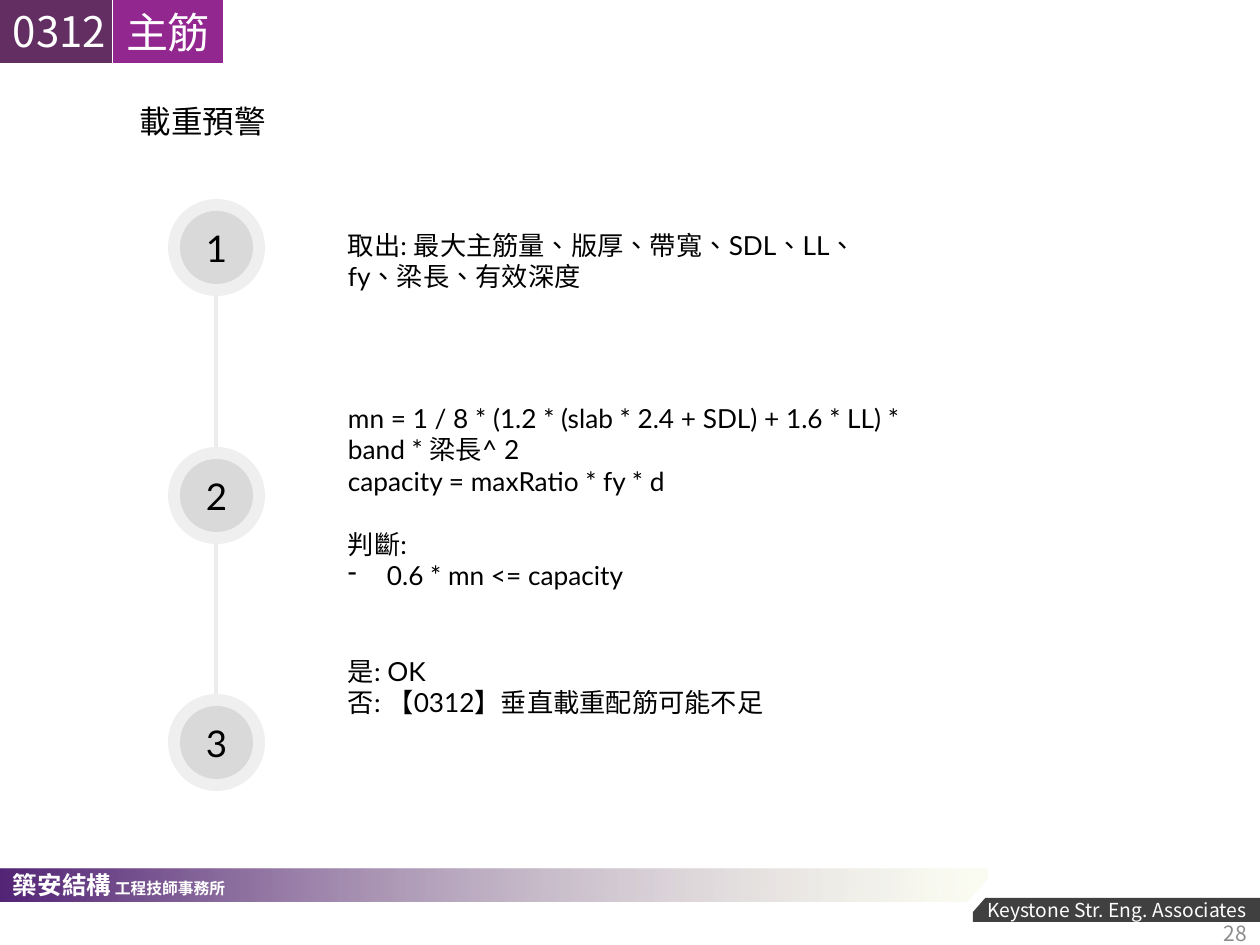
from dataclasses import dataclass
from itertools import pairwise

from lxml import etree
from pptx import Presentation
from pptx.dml.color import RGBColor
from pptx.enum.shapes import MSO_CONNECTOR, MSO_SHAPE
from pptx.enum.text import MSO_ANCHOR, MSO_AUTO_SIZE, PP_ALIGN
from pptx.oxml.ns import qn
from pptx.util import Emu, Pt

RECT, OVAL, SLANT = MSO_SHAPE.RECTANGLE, MSO_SHAPE.OVAL, MSO_SHAPE.PARALLELOGRAM
LEFT, CENTER, RIGHT = PP_ALIGN.LEFT, PP_ALIGN.CENTER, PP_ALIGN.RIGHT
TOP, MIDDLE = MSO_ANCHOR.TOP, MSO_ANCHOR.MIDDLE
PX = 914400 / 126
LATO, NOTO = "Lato", "Noto Sans CJK SC"
WHITE, BLACK, GREY = "FFFFFF", "000000", "D9D9D9"
NODE_X, NODE_SIZE, NODE_RIM = 168, 97, 12
BODY_X = 348


@dataclass
class Box:
    x: int
    y: int
    w: int
    h: int

    def emu(self) -> list[Emu]:
        return [px(v) for v in (self.x, self.y, self.w, self.h)]


@dataclass
class Style:
    size: float
    font: str = NOTO
    color: str = BLACK
    align: PP_ALIGN = LEFT
    anchor: MSO_ANCHOR = TOP
    bold: bool = False
    wrap: bool = True
    insets: tuple[int, int] = (13, 13)


@dataclass
class Step:
    node_y: int
    text_box: Box
    lines: list[str]


def px(n: float) -> Emu:
    return Emu(round(n * PX))


def rgb(value: str) -> RGBColor:
    return RGBColor.from_string(value)


def set_alpha(s, percent: int) -> None:
    color = s._element.spPr.findall(".//" + qn("a:srgbClr"))[-1]
    etree.SubElement(color, qn("a:alpha"), val=str(percent * 1000))


def format_run(r, style: Style, size: float) -> None:
    r.font.size, r.font.name, r.font.bold = Pt(size), style.font, style.bold
    r.font.color.rgb = rgb(style.color)
    rpr = r._r.get_or_add_rPr()
    rpr.set("lang", "zh-TW")
    etree.SubElement(rpr, qn("a:ea"), typeface=style.font)


def write(s, lines: list[str], style: Style) -> None:
    tf = s.text_frame
    tf.auto_size = MSO_AUTO_SIZE.NONE
    tf.word_wrap, tf.vertical_anchor = style.wrap, style.anchor
    tf.margin_left, tf.margin_right = map(px, style.insets)
    tf.margin_top = tf.margin_bottom = px(6)
    tf.text = "\n".join(lines)
    for p in tf.paragraphs:
        p.alignment = style.align
        for r in p.runs:
            format_run(r, style, style.size)


def add_shape(shapes, kind: MSO_SHAPE, box: Box, color: str):
    s = shapes.add_shape(kind, *box.emu())
    s.shadow.inherit = False
    s.fill.solid()
    s.fill.fore_color.rgb = rgb(color)
    s.line.fill.background()
    return s


def add_text(shapes, box: Box, lines: list[str], style: Style):
    s = shapes.add_textbox(*box.emu())
    write(s, lines, style)
    return s


def add_node(shapes, y: int, label: str) -> None:
    group = shapes.add_group_shape().shapes
    inner = NODE_SIZE - 2 * NODE_RIM
    add_shape(group, OVAL, Box(NODE_X + NODE_RIM, y + NODE_RIM, inner, inner), GREY)
    halo = add_shape(group, OVAL, Box(NODE_X, y, NODE_SIZE, NODE_SIZE), GREY)
    set_alpha(halo, 42)
    write(halo, [label], Style(21, LATO, align=CENTER, anchor=MIDDLE))


def add_link(shapes, top: int, bottom: int) -> None:
    x = px(NODE_X + NODE_SIZE // 2)
    line = shapes.add_connector(MSO_CONNECTOR.STRAIGHT, x, px(top), x, px(bottom))
    line.line.color.rgb, line.line.width = rgb("EDECEC"), Pt(2.25)
    etree.SubElement(line._element.spPr, qn("a:effectLst"))


def add_dash(p) -> None:
    ppr = p._p.get_or_add_pPr()
    ppr.set("marL", str(px(39)))
    ppr.set("indent", str(-px(39)))
    etree.SubElement(ppr, qn("a:buChar"), char="-")


def add_footer(shapes) -> None:
    band = add_shape(shapes, RECT, Box(0, 869, 987, 33), WHITE)
    band.fill.gradient()
    band.fill.gradient_angle = 0
    for stop, (pos, color) in zip(band.fill.gradient_stops, [(0, "532476"), (0.99, "F5F9DF")]):
        stop.position, stop.color.rgb = pos, rgb(color)
    set_alpha(band, 40)

    strip = add_shape(shapes, RECT, Box(973, 898, 287, 24), "404040")
    write(strip, ["Keystone Str. Eng. Associates"],
          Style(11, color=WHITE, align=RIGHT, anchor=MIDDLE))

    style = Style(14, color=WHITE, bold=True)
    firm = add_text(shapes, Box(0, 864, 557, 62), ["築安結構"], style)
    r = firm.text_frame.paragraphs[0].add_run()
    r.text = " 工程技師事務所"
    format_run(r, style, 9)

    notch = add_shape(shapes, SLANT, Box(946, 874, 60, 53), WHITE)
    notch.adjustments[0] = 0.872
    add_text(shapes, Box(976, 908, 284, 50), ["28"],
             Style(12, color="8C8C8C", align=RIGHT, anchor=MIDDLE))


STEPS = [
    Step(199, Box(BODY_X, 223, 537, 77),
         ["取出: 最大主筋量、版厚、帶寬、SDL、LL、fy、梁長、有效深度"]),
    Step(447, Box(BODY_X, 396, 567, 204),
         ["mn = 1 / 8 * (1.2 * (slab * 2.4 + SDL) + 1.6 * LL) * band * 梁長^ 2",
          "capacity = maxRatio * fy * d", "判斷:", "0.6 * mn <= capacity"]),
    Step(694, Box(BODY_X, 649, 799, 77),
         ["是: OK", "否: 【0312】垂直載重配筋可能不足"]),
]


def main() -> None:
    prs = Presentation()
    prs.slide_width, prs.slide_height = px(1260), px(945)
    slide = prs.slides.add_slide(prs.slide_layouts[5])
    shapes = slide.shapes

    add_footer(shapes)

    # Section tag and title
    tag_style = Style(24, color=WHITE, wrap=False, insets=(13, 0))
    tag = add_shape(shapes, RECT, Box(0, 0, 112, 63), "632E62")
    write(tag, ["0312"], tag_style)
    title = shapes.title
    title.left, title.top, title.width, title.height = Box(113, 0, 110, 63).emu()
    title.fill.solid()
    title.fill.fore_color.rgb = rgb("92278F")
    write(title, ["主筋"], tag_style)

    add_text(shapes, Box(127, 96, 152, 50), ["載重預警"], Style(18, wrap=False))

    # Numbered steps and the links between them
    bodies = []
    for number, step in enumerate(STEPS, 1):
        add_node(shapes, step.node_y, str(number))
        bodies.append(add_text(shapes, step.text_box, step.lines,
                               Style(15, LATO, insets=(0, 13))))
    for upper, lower in pairwise(STEPS):
        add_link(shapes, upper.node_y + NODE_SIZE, lower.node_y)

    # Check in step 2: a gap before it, and a dash for its condition
    check, condition = bodies[1].text_frame.paragraphs[2:]
    check.space_before = Pt(18)
    add_dash(condition)

    prs.save("out.pptx")


if __name__ == "__main__":
    main()
